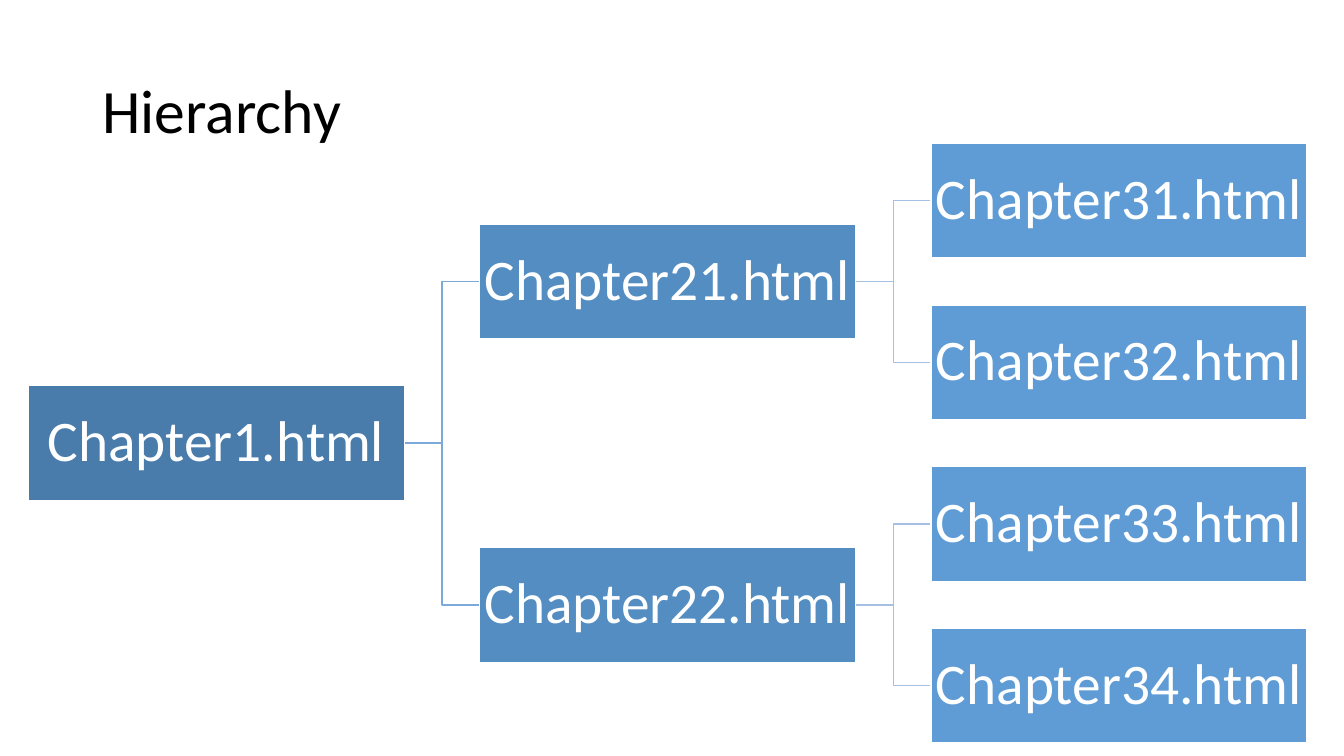
from pptx import Presentation
from pptx import util as u
from pptx.dml import color
from pptx.enum import text

COLOURS = {
    "title": "000000",
    "box text": "FFFFFF",
    "box line": "FFFFFF",
    "level 0": "497CAB",
    "level 1": "538DC1",
    "level 2": "5F9CD5",
    "branch 0": "7AA9DA",
    "branch 1": "A5C0E3",
}
LEVELS = [
    ["Chapter1.html"],
    ["Chapter21.html", "Chapter22.html"],
    ["Chapter31.html", "Chapter32.html", "Chapter33.html", "Chapter34.html"],
]
BOX_WIDTH, BOX_HEIGHT = 268.6, 82
LEFT, LEVEL_STEP = 20.2, 322.4
FIRST_LEAF, LEAF_STEP = 143.3, 115.5


class HierarchySlide:
    def __init__(self, presentation):
        self.font = "Calibri"
        self.slide = presentation.slides.add_slide(presentation.slide_layouts[5])

    def colour(self, name):
        return color.RGBColor.from_string(COLOURS[name])

    def format_text(self, frame, size, colour_name, alignment):
        frame.word_wrap = True
        frame.vertical_anchor = text.MSO_ANCHOR.MIDDLE
        paragraph = frame.paragraphs[0]
        paragraph.alignment = alignment
        paragraph.line_spacing = 0.9
        font = paragraph.runs[0].font
        font.name, font.size = self.font, u.Pt(size)
        font.color.rgb = self.colour(colour_name)

    def title(self, wording, left, top, width, height):
        shape = self.slide.shapes.title
        shape.left, shape.top = u.Pt(left), u.Pt(top)
        shape.width, shape.height = u.Pt(width), u.Pt(height)
        shape.text_frame.text = wording
        self.format_text(shape.text_frame, 44, "title", text.PP_ALIGN.LEFT)

    def branch(self, start, end, colour_name):
        """Draw a right-angled line that turns halfway between two points."""
        middle = (start[0] + end[0]) / 2
        corners = [(middle, start[1]), (middle, end[1]), end]
        builder = self.slide.shapes.build_freeform(u.Pt(start[0]), u.Pt(start[1]))
        builder.add_line_segments([(u.Pt(x), u.Pt(y)) for x, y in corners], close=False)
        shape = builder.convert_to_shape()
        shape.shadow.inherit = False
        shape.fill.background()
        shape.line.color.rgb = self.colour(colour_name)
        shape.line.width = u.Pt(1)

    def box(self, wording, left, middle, colour_name):
        shape = self.slide.shapes.add_shape(
            1, u.Pt(left), u.Pt(middle - BOX_HEIGHT / 2), u.Pt(BOX_WIDTH), u.Pt(BOX_HEIGHT)
        )
        shape.shadow.inherit = False
        shape.fill.solid()
        shape.fill.fore_color.rgb = self.colour(colour_name)
        shape.line.color.rgb = self.colour("box line")
        shape.line.width = u.Pt(1)
        frame = shape.text_frame
        frame.margin_left = frame.margin_right = u.Pt(2)
        frame.margin_top = frame.margin_bottom = u.Pt(2)
        frame.text = wording
        self.format_text(frame, 41, "box text", text.PP_ALIGN.CENTER)


def box_left(level):
    return LEFT + level * LEVEL_STEP


def box_middle(level, index):
    """Centre a box on the leaves below it."""
    leaves = len(LEVELS[-1]) / len(LEVELS[level])
    return FIRST_LEAF + LEAF_STEP * (index * leaves + (leaves - 1) / 2)


def main():
    presentation = Presentation()
    presentation.slide_width, presentation.slide_height = u.Pt(960), u.Pt(540)
    slide = HierarchySlide(presentation)
    slide.title("Hierarchy", 66, 28.75, 828, 104.4)

    for level in range(1, len(LEVELS)):
        for index in range(len(LEVELS[level])):
            start = (box_left(level - 1) + BOX_WIDTH, box_middle(level - 1, index // 2))
            end = (box_left(level), box_middle(level, index))
            slide.branch(start, end, f"branch {level - 1}")

    for level, names in enumerate(LEVELS):
        for index, name in enumerate(names):
            slide.box(name, box_left(level), box_middle(level, index), f"level {level}")

    presentation.save("out.pptx")


if __name__ == "__main__":
    main()
